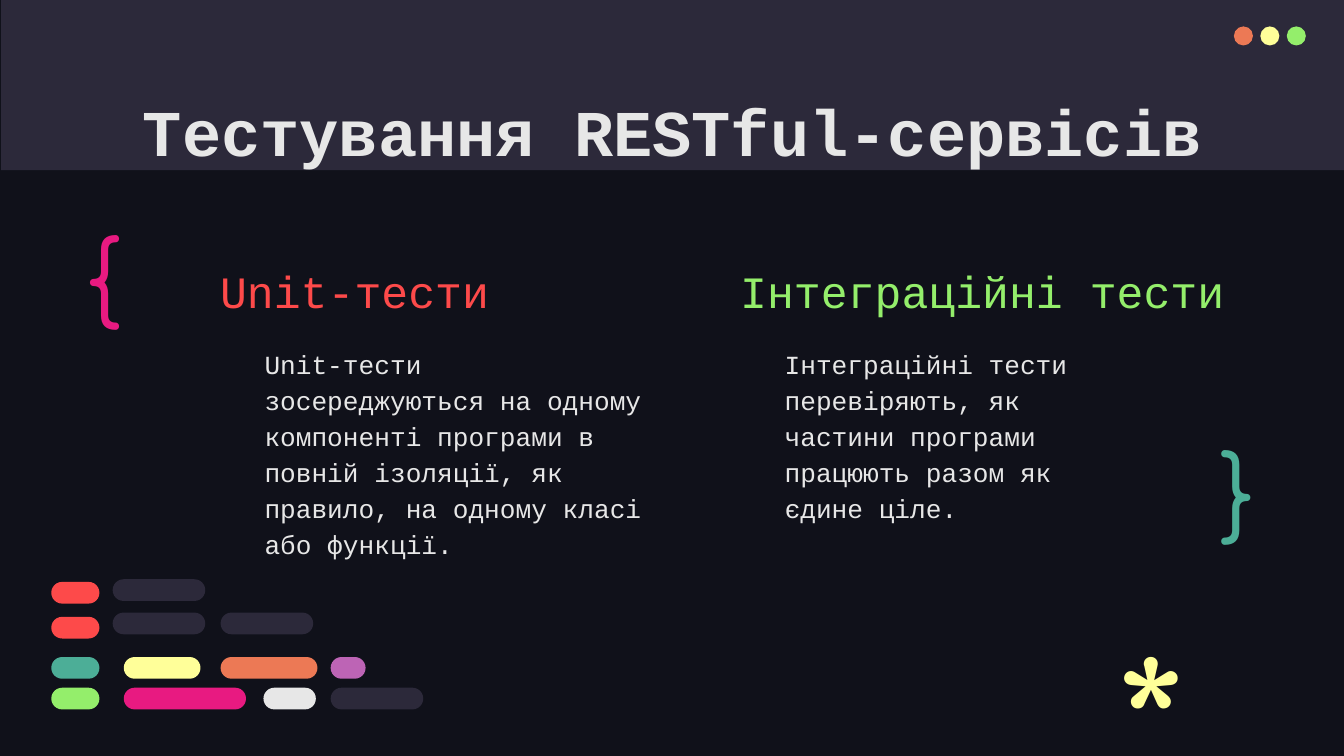
"""Builds a slide comparing unit tests with integration tests of RESTful services."""
from dataclasses import dataclass

import pptx
import pptx.dml.color
import pptx.enum.shapes
import pptx.enum.text
import pptx.util

Cm = pptx.util.Cm
Anchor = pptx.enum.text.MSO_ANCHOR
Align = pptx.enum.text.PP_ALIGN
Shape = pptx.enum.shapes.MSO_SHAPE


@dataclass(frozen=True)
class Theme:
    night: str = "10111A"
    slate: str = "2C293A"
    white: str = "E7E7E7"
    red: str = "FD4A4A"
    orange: str = "EC7955"
    yellow: str = "FFFF99"
    green: str = "94EE6B"
    teal: str = "4CAE97"
    pink: str = "E81A81"
    purple: str = "BD64B5"
    code_font: str = "Courier New"
    symbol_font: str = "Comfortaa"
    title_size: int = 35
    heading_size: int = 24
    body_size: int = 14
    brace_size: int = 50
    star_size: int = 96
    margin: float = 0.25
    body_spacing: float = 1.15


class SlideBuilder:
    def __init__(self, slide, theme):
        self.slide = slide
        self.theme = theme

    def color(self, value):
        return pptx.dml.color.RGBColor.from_string(value)

    def background(self, color):
        fill = self.slide.background.fill
        fill.solid()
        fill.fore_color.rgb = self.color(color)

    def shape(self, kind, left, top, width, height, color):
        shape = self.slide.shapes.add_shape(kind, Cm(left), Cm(top), Cm(width), Cm(height))
        shape.shadow.inherit = False
        shape.fill.solid()
        shape.fill.fore_color.rgb = self.color(color)
        shape.line.fill.background()
        return shape

    def pill(self, left, top, width, color):
        pill = self.shape(Shape.ROUNDED_RECTANGLE, left, top, width, 0.41, color)
        pill.adjustments[0] = 0.5

    def text(self, words, area, size, color, font=None, anchor=Anchor.TOP,
             align=Align.LEFT, bold=False, spacing=None, indent=0, drop=0):
        box = self.slide.shapes.add_textbox(*map(Cm, area))
        frame = box.text_frame
        frame.text = words
        frame.word_wrap = True
        frame.vertical_anchor = anchor
        frame.margin_left = Cm(self.theme.margin + indent)
        frame.margin_top = Cm(self.theme.margin + drop)
        frame.margin_right = frame.margin_bottom = Cm(self.theme.margin)
        para = frame.paragraphs[0]
        para.alignment = align
        para.line_spacing = spacing
        span = para.runs[0]
        span.font.name = font or self.theme.code_font
        span.font.size = pptx.util.Pt(size)
        span.font.bold = bold
        span.font.color.rgb = self.color(color)

    def heading(self, words, area, color):
        self.text(words, area, self.theme.heading_size, color, anchor=Anchor.BOTTOM,
                  spacing=self.theme.body_spacing)

    def body(self, words, left, indent=0):
        self.text(words, (left, 6.25, 7.75, 4.11), self.theme.body_size, self.theme.white,
                  spacing=self.theme.body_spacing, indent=indent)

    def symbol(self, words, area, size, color, anchor=Anchor.TOP):
        self.text(words, area, size, color, self.theme.symbol_font, anchor)


def main():
    deck = pptx.Presentation()
    deck.slide_width, deck.slide_height = Cm(25.4), Cm(14.29)
    theme = Theme()
    page = SlideBuilder(deck.slides.add_slide(deck.slide_layouts[6]), theme)

    page.background(theme.night)
    page.shape(Shape.RECTANGLE, 0.02, 0, 25.38, 3.22, theme.slate)
    for index, color in enumerate((theme.orange, theme.yellow, theme.green)):
        page.shape(Shape.OVAL, 23.32 + 0.5 * index, 0.5, 0.36, 0.36, color)

    page.text("Тестування RESTful-сервісів", (2.01, 1.24, 21.41, 1.6), theme.title_size,
              theme.white, align=Align.CENTER, bold=True, drop=0.23)
    page.body("Інтеграційні тести перевіряють, як частини програми працюють разом як єдине ціле.",
              13.31, indent=1.27)
    page.body("Unit-тести зосереджуються на одному компоненті програми в повній ізоляції, "
              "як правило, на одному класі або функції.", 4.75)
    page.heading("Unit-тести", (3.91, 4.47, 7.75, 1.78), theme.red)
    page.heading("Інтеграційні тести", (13.74, 4.7, 9.86, 1.55), theme.green)

    page.symbol("{", (1.37, 3.81, 1.96, 2.41), theme.brace_size, theme.pink)
    page.symbol("}", (22.81, 8.13, 1.45, 2.11), theme.brace_size, theme.teal, Anchor.MIDDLE)

    pill_rows = {
        10.95: [(2.13, 1.75, theme.slate)],
        11.0: [(0.97, 0.91, theme.red)],
        11.58: [(2.13, 1.75, theme.slate), (4.17, 1.75, theme.slate)],
        11.66: [(0.97, 0.91, theme.red)],
        12.42: [(0.97, 0.91, theme.teal), (2.34, 1.45, theme.yellow),
                (4.17, 1.83, theme.orange), (6.25, 0.66, theme.purple)],
        13.0: [(0.97, 0.91, theme.green), (2.34, 2.31, theme.pink),
               (4.98, 0.99, theme.white), (6.25, 1.75, theme.slate)],
    }
    for top, pills in pill_rows.items():
        for left, width, color in pills:
            page.pill(left, top, width, color)

    page.symbol("*", (20.85, 11.43, 1.45, 2.21), theme.star_size, theme.yellow)
    deck.save("out.pptx")


if __name__ == "__main__":
    main()
